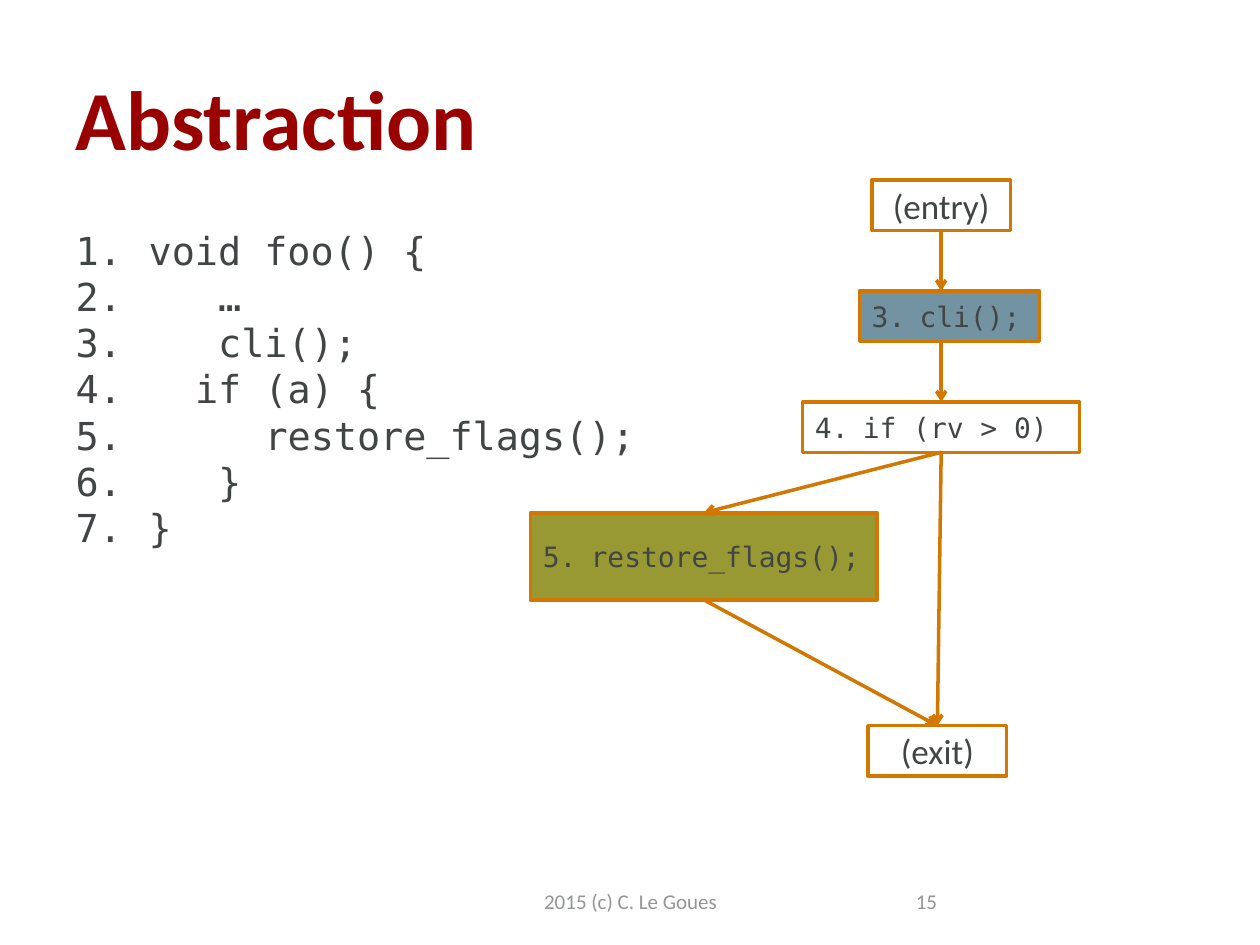
"""Build the Abstraction slide: numbered code beside its control-flow graph."""
from lxml.etree import SubElement
from pptx import Presentation
from pptx.dml.color import RGBColor as Rgb
from pptx.enum.shapes import MSO_CONNECTOR as Connector, MSO_SHAPE as Shape
from pptx.enum.text import MSO_ANCHOR as Anchor, MSO_AUTO_SIZE as AutoSize, PP_ALIGN as Align
from pptx.oxml.ns import qn
from pptx.util import Inches, Pt

COLORS = {"title": "990000", "text": "424545", "muted": "939494", "line": "D17702",
          "plain": "FFFFFF", "disable": "7493A2", "restore": "999933"}
SANS, MONO = "Calibri", "DejaVu Sans Mono"
TOP, BOTTOM = 0, 2


def write(paragraph, text, size, font=SANS, color="text", bold=False, align=Align.LEFT):
    run = paragraph.add_run()
    run.text = text
    run.font.name, run.font.size, run.font.bold = font, Pt(size), bold
    run.font.color.rgb = Rgb.from_string(COLORS[color])
    paragraph.alignment = align


def number(paragraph, hang, start=None, shift=0):
    properties = paragraph._p.get_or_add_pPr()
    properties.set("marL", str(Inches(hang + shift)))
    properties.set("indent", str(-Inches(hang + shift)))
    SubElement(properties, qn("a:buFont"), typeface=MONO)
    bullet = SubElement(properties, qn("a:buAutoNum"), type="arabicPeriod")
    if start:
        bullet.set("startAt", str(start))


class SlideBuilder:
    def __init__(self, presentation):
        self.slide = presentation.slides.add_slide(presentation.slide_layouts[1])

    def place(self, shape, bounds):
        shape.left, shape.top, shape.width, shape.height = map(Inches, bounds)
        frame = shape.text_frame
        frame.word_wrap, frame.auto_size = True, AutoSize.NONE
        return frame

    def title(self, text, bounds):
        frame = self.place(self.slide.shapes.title, bounds)
        frame.vertical_anchor = Anchor.MIDDLE
        write(frame.paragraphs[0], text, 48, color="title", bold=True)

    def code(self, lines, bounds):
        frame = self.place(self.slide.placeholders[1], bounds)
        character_width = 0.184
        for index, (indent, text) in enumerate(lines):
            paragraph = frame.add_paragraph() if index else frame.paragraphs[0]
            paragraph.space_before = Pt(0)
            paragraph.line_spacing = Pt(26.4)
            number(paragraph, 0.58, shift=indent * character_width)
            write(paragraph, text, 22, MONO)

    def label(self, text, bounds, align=Align.LEFT):
        frame = self.place(self.slide.shapes.add_textbox(0, 0, 0, 0), bounds)
        frame.vertical_anchor = Anchor.MIDDLE
        write(frame.paragraphs[0], text, 12, color="muted", align=align)

    def node(self, text, bounds, fill="plain", start=None):
        shape = self.slide.shapes.add_shape(Shape.RECTANGLE, *map(Inches, bounds))
        shape.shadow.inherit = False
        shape.fill.solid()
        shape.fill.fore_color.rgb = Rgb.from_string(COLORS[fill])
        self.outline(shape.line)
        frame = self.place(shape, bounds)
        frame.vertical_anchor = Anchor.MIDDLE
        paragraph = frame.paragraphs[0]
        if start:
            number(paragraph, 0.38, start)
            write(paragraph, text, 16, MONO)
        else:
            write(paragraph, text, 20, align=Align.CENTER)
        return shape

    def outline(self, line):
        line.color.rgb = Rgb.from_string(COLORS["line"])
        line.width = Pt(2)

    def arrow(self, begin, end, source=None, target=None):
        connector = self.slide.shapes.add_connector(
            Connector.STRAIGHT, *map(Inches, begin + end))
        if source is not None:
            connector.begin_connect(source, BOTTOM)
        if target is not None:
            connector.end_connect(target, TOP)
        self.outline(connector.line)
        SubElement(connector.line._get_or_add_ln(), qn("a:tailEnd"), type="arrow")
        SubElement(connector._element.spPr, qn("a:effectLst"))


def main():
    presentation = Presentation()
    presentation.slide_width, presentation.slide_height = Inches(10), Inches(7.5)
    builder = SlideBuilder(presentation)
    builder.title("Abstraction", (0.5, 0.3, 9, 1.25))
    builder.code([(0, "void foo() {"), (3, "…"), (3, "cli();"), (2, "if (a) {"),
                  (5, "restore_flags();"), (3, "}"), (0, "}")], (0.5, 1.75, 4.9, 4.95))

    entry = builder.node("(entry)", (6.92, 1.43, 1.1, 0.4))
    builder.node("cli();", (6.82, 2.31, 1.43, 0.4), "disable", 3)
    branch = builder.node("if (rv > 0)", (6.37, 3.19, 2.2, 0.4), start=4)
    restore = builder.node("restore_flags();", (4.21, 4.07, 2.75, 0.69), "restore", 5)
    leave = builder.node("(exit)", (6.89, 5.76, 1.1, 0.4))

    builder.arrow((7.47, 1.83), (7.47, 2.31), source=entry)
    builder.arrow((7.47, 2.71), (7.47, 3.19), target=branch)
    builder.arrow((7.47, 3.59), (5.58, 4.07), branch, restore)
    builder.arrow((5.58, 4.76), (7.44, 5.76), restore, leave)
    builder.arrow((7.47, 3.59), (7.44, 5.76), branch, leave)

    builder.label("2015 (c) C. Le Goues", (3.42, 6.95, 3.17, 0.4), Align.CENTER)
    builder.label("15", (7.17, 6.95, 2.33, 0.4))
    presentation.save("out.pptx")


if __name__ == "__main__":
    main()
